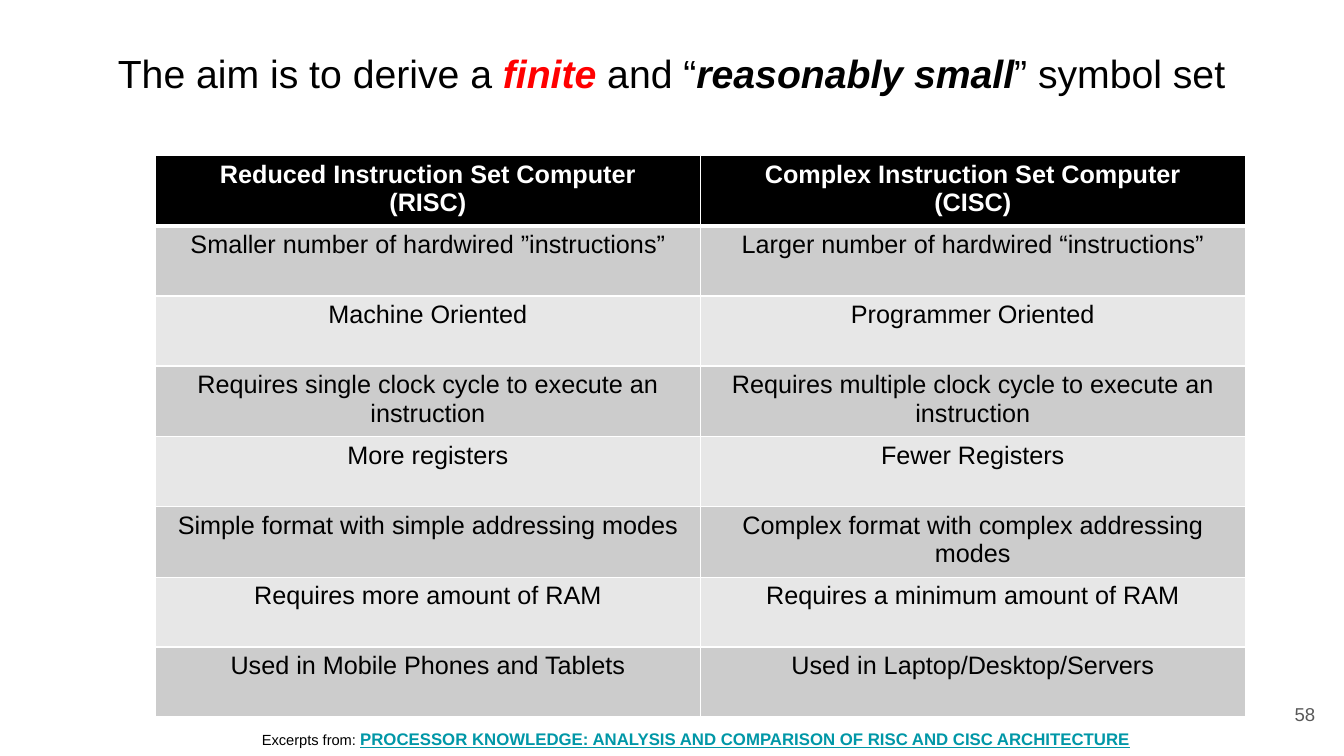
from lxml.etree import SubElement
from pptx import Presentation
from pptx.dml.color import RGBColor as Color
from pptx.enum.text import MSO_ANCHOR as Anchor, PP_ALIGN as Align
from pptx.oxml.ns import qn
from pptx.util import Pt

COLORS = {"black": "000000", "white": "FFFFFF", "red": "FF0000", "gray": "595959",
          "teal": "0097A7", "dark_band": "CCCCCC", "light_band": "E7E7E7"}
COMPARISON = [
    ("Reduced Instruction Set Computer\n(RISC)", "Complex Instruction Set Computer\n(CISC)"),
    ("Smaller number of hardwired ”instructions”", "Larger number of hardwired “instructions”"),
    ("Machine Oriented", "Programmer Oriented"),
    ("Requires single clock cycle to execute an instruction",
     "Requires multiple clock cycle to execute an instruction"),
    ("More registers", "Fewer Registers"),
    ("Simple format with simple addressing modes", "Complex format with complex addressing modes"),
    ("Requires more amount of RAM", "Requires a minimum amount of RAM"),
    ("Used in Mobile Phones and Tablets", "Used in Laptop/Desktop/Servers"),
]


class SlideBuilder:
    """Hold the text style and current slide, and add elements measured in points."""

    def __init__(self, slide, font="Arial"):
        self.slide = slide
        self.font = font

    def add_spans(self, para, spans, size, align):
        para.alignment = align
        for text, formats in spans:
            span = para.add_run()
            span.text = text
            values = {"name": self.font, "size": size, "color": "black", **formats}
            span.font.color.rgb = Color.from_string(COLORS[values.pop("color")])
            values["size"] = Pt(values["size"])
            for name, value in values.items():
                setattr(span.font, name, value)

    def text(self, bounds, spans, size, align, inset=7.2, **frame_formats):
        box = self.slide.shapes.add_textbox(*map(Pt, bounds))
        frame = box.text_frame
        formats = {"word_wrap": True, "margin_left": Pt(7.2), "margin_right": Pt(7.2),
                   "margin_top": Pt(inset), "margin_bottom": Pt(inset), **frame_formats}
        for name, value in formats.items():
            setattr(frame, name, value)
        self.add_spans(frame.paragraphs[0], spans, size, align)

    def border(self, cell, widths):
        properties = cell._tc.get_or_add_tcPr()
        for side, width in widths.items():
            line = SubElement(properties, qn(f"a:ln{side}"), w=str(Pt(width)))
            fill = SubElement(line, qn("a:solidFill"))
            SubElement(fill, qn("a:srgbClr"), val=COLORS["white"])

    def table(self, left, top, column_width, row_height, rows, size):
        row_count, column_count = len(rows), len(rows[0])
        bounds = (left, top, column_width * column_count, row_height * row_count)
        table = self.slide.shapes.add_table(row_count, column_count, *map(Pt, bounds)).table
        for row_index, row in enumerate(rows):
            header = row_index == 0
            band = "black" if header else "dark_band" if row_index % 2 else "light_band"
            formats = {"color": "white" if header else "black", "bold": header}
            widths = {"L": 1, "R": 1, "T": 3 if row_index == 1 else 1, "B": 3 if header else 1}
            for column_index, content in enumerate(row):
                cell = table.cell(row_index, column_index)
                self.border(cell, widths)
                cell.fill.solid()
                cell.fill.fore_color.rgb = Color.from_string(COLORS[band])
                frame = cell.text_frame
                for line_index, line in enumerate(content.split("\n")):
                    para = frame.add_paragraph() if line_index else frame.paragraphs[0]
                    self.add_spans(para, [(line, formats)], size, Align.CENTER)


def main():
    deck = Presentation()
    deck.slide_width, deck.slide_height = Pt(960), Pt(540)
    page = SlideBuilder(deck.slides.add_slide(deck.slide_layouts[6]))
    emphasis = {"bold": True, "italic": True}
    page.text((32.4, 28, 894.5, 60.5), [
        ("The aim is to derive a ", {}),
        ("finite", {**emphasis, "color": "red"}),
        (" and “", {}),
        ("reasonably small", emphasis),
        ("” symbol set", {}),
    ], 28, Align.CENTER)
    page.text((889, 489.6, 57.6, 41), [("58", {"color": "gray"})], 13.3, Align.RIGHT,
              vertical_anchor=Anchor.MIDDLE)
    page.table(111, 111, 389.25, 50, COMPARISON, 18)
    page.text((180, 517, 641.5, 21.6), [
        ("Excerpts from: ", {}),
        ("PROCESSOR KNOWLEDGE: ANALYSIS AND COMPARISON OF RISC AND CISC ARCHITECTURE",
         {"size": 12, "color": "teal", "bold": True, "underline": True}),
    ], 10.5, Align.LEFT, inset=3.6, word_wrap=False)
    deck.save("out.pptx")


if __name__ == "__main__":
    main()
